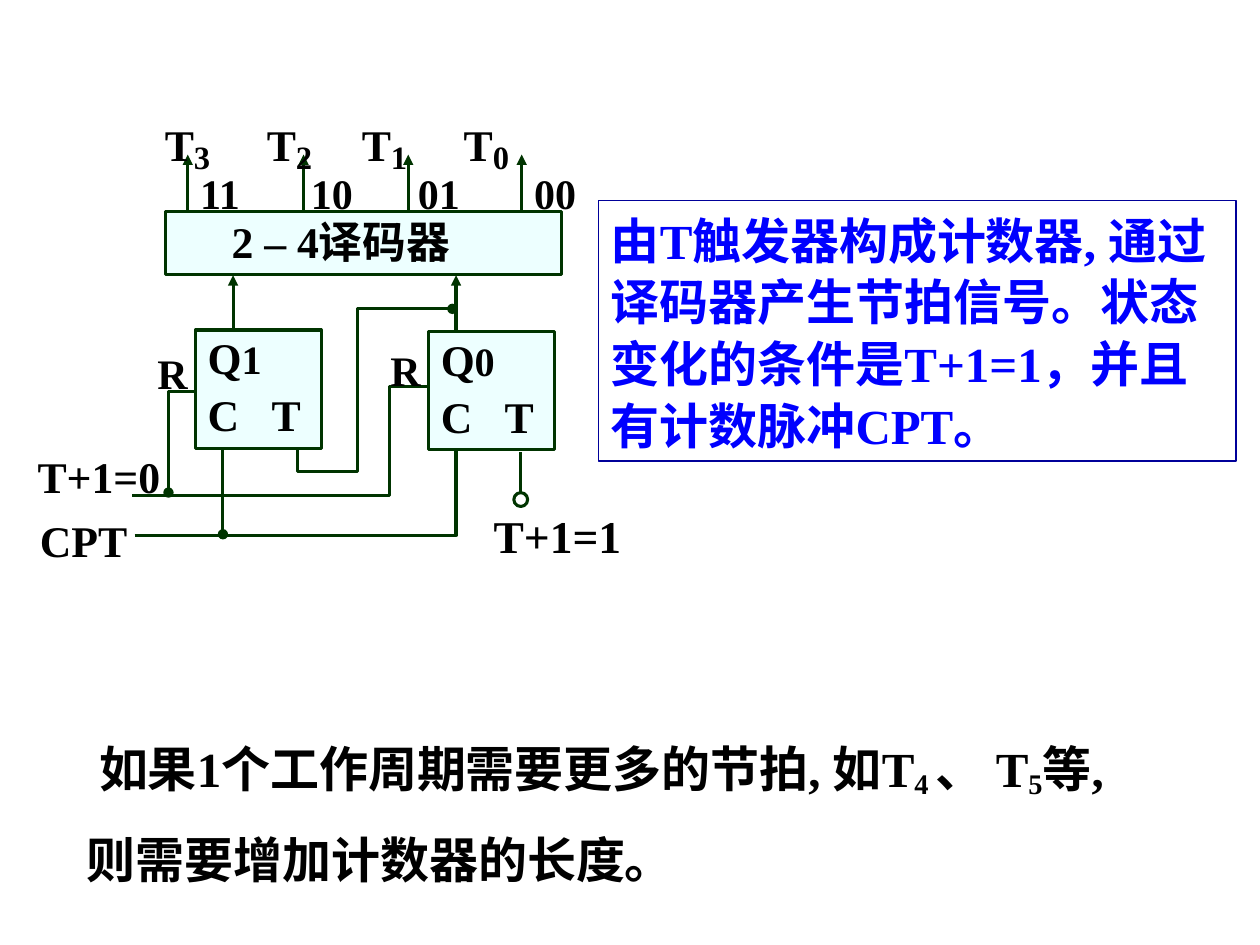
from lxml.etree import SubElement
from pptx import Presentation
from pptx.dml.color import RGBColor
from pptx.enum.shapes import MSO_CONNECTOR as Connector, MSO_SHAPE as Shape
from pptx.enum.text import MSO_ANCHOR as Anchor, PP_ALIGN as Align
from pptx.oxml.ns import qn
from pptx.util import Pt

FONT = "Times New Roman"
BLACK, BLUE, NAVY = "000000", "0000FF", "000099"
GREEN, PALE = "003400", "EDFFFF"
WIRE_WIDTH = 1.75


def color(value):
    return RGBColor.from_string(value)


def add_run(paragraph, text, size, text_color=BLACK, baseline=0):
    """Add a bold run; baseline is a shift in percent, negative for subscripts."""
    run = paragraph.add_run()
    run.text = text
    run.font.name = FONT
    run.font.size = Pt(size)
    run.font.bold = True
    run.font.color.rgb = color(text_color)
    if baseline:
        run._r.get_or_add_rPr().set("baseline", str(baseline * 1000))


def add_label(slide, left, top, width, height, runs, margin_top=5.8):
    box = slide.shapes.add_textbox(Pt(left), Pt(top), Pt(width), Pt(height))
    frame = box.text_frame
    frame.word_wrap = True
    frame.margin_top = Pt(margin_top)
    paragraph = frame.paragraphs[0]
    for run in runs:
        add_run(paragraph, *run)
    return paragraph


def add_block(slide, kind, left, top, width, height, fill=None,
              line=GREEN, line_width=WIRE_WIDTH):
    shape = slide.shapes.add_shape(kind, Pt(left), Pt(top), Pt(width), Pt(height))
    shape.shadow.inherit = False
    if fill:
        shape.fill.solid()
        shape.fill.fore_color.rgb = color(fill)
    else:
        shape.fill.background()
    shape.line.color.rgb = color(line)
    shape.line.width = Pt(line_width)
    frame = shape.text_frame
    frame.word_wrap = True
    frame.vertical_anchor = Anchor.MIDDLE
    frame.paragraphs[0].alignment = Align.LEFT
    return frame


def add_wire(slide, points, end=None):
    """Draw a wire through the points, with an optional mark at its last point."""
    points = [(Pt(x), Pt(y)) for x, y in points]
    if len(points) == 2:
        wire = slide.shapes.add_connector(Connector.STRAIGHT, *points[0], *points[1])
        SubElement(wire._element.spPr, qn("a:effectLst"))
    else:
        builder = slide.shapes.build_freeform(*points[0], scale=1.0)
        builder.add_line_segments(points[1:], close=False)
        wire = builder.convert_to_shape()
        wire.shadow.inherit = False
        wire.fill.background()
    wire.line.color.rgb = color(GREEN)
    wire.line.width = Pt(WIRE_WIDTH)
    if end:
        SubElement(wire.line._get_or_add_ln(), qn("a:tailEnd"), type=end)


def add_flip_flop(slide, left, top, index):
    frame = add_block(slide, Shape.RECTANGLE, left, top, 72, 67.7, PALE)
    output = frame.paragraphs[0]
    output.line_spacing = 0.9
    add_run(output, "Q", 25)
    add_run(output, index, 23)
    inputs = frame.add_paragraph()
    inputs.alignment = Align.LEFT
    inputs.line_spacing = 0.9
    inputs.space_before = Pt(5.5)
    tabs = SubElement(inputs._p.get_or_add_pPr(), qn("a:tabLst"))
    SubElement(tabs, qn("a:tab"), pos=str(Pt(36.5)), algn="l")
    add_run(inputs, "C\tT", 25)


def add_decoder(slide):
    frame = add_block(slide, Shape.RECTANGLE, 94.3, 121, 226.8, 36, PALE)
    frame.margin_left = Pt(38)
    frame.paragraphs[0].line_spacing = 0.95
    add_run(frame.paragraphs[0], "2 – 4译码器", 25)

    outputs = [("3", 87.1, "11", 107.3, 107.3), ("2", 145.4, "10", 170.6, 173.5),
               ("1", 199.7, "01", 231.8, 233.3), ("0", 257.9, "00", 298.1, 298.1)]
    for index, name_left, code, code_left, wire_x in outputs:
        add_wire(slide, [(wire_x, 120), (wire_x, 88.3)], "triangle")
        add_label(slide, name_left, 54.7, 50, 37.4,
                  [("T", 25), (index, 32, BLACK, -14)])
        add_label(slide, code_left, 90, 42, 36, [(code, 24)])


def add_wiring(slide):
    for x in (133.2, 260.6):
        add_wire(slide, [(x, 189), (x, 157.3)], "triangle")
    add_wire(slide, [(77, 306), (260.6, 306), (260.6, 256.3)])
    add_wire(slide, [(244, 221), (222.5, 221), (222.5, 283), (75.6, 283)])
    add_wire(slide, [(112, 224), (96.3, 224), (96.3, 281.5)], "oval")
    add_wire(slide, [(169.9, 256), (169.9, 269.3), (204.5, 269.3),
                     (204.5, 176.5), (258.5, 176.5)], "oval")
    add_wire(slide, [(127.4, 255.6), (127.4, 305.3)], "oval")
    add_wire(slide, [(297.4, 258.5), (297.4, 282)])
    add_block(slide, Shape.OVAL, 293.6, 281.5, 7.9, 7.9)


def add_note(slide):
    frame = add_block(slide, Shape.RECTANGLE, 342, 114.5, 364.3, 149,
                      line=NAVY, line_width=0.75)
    frame.paragraphs[0].line_spacing = 1.05
    add_run(frame.paragraphs[0], "由T触发器构成计数器, 通过译码器产生节拍信号。"
            "状态变化的条件是T+1=1，并且有计数脉冲CPT。", 28, BLUE)


def add_remark(slide):
    runs = [("如果1个工作周期需要更多的节拍, 如T", 28), ("4 ", 28, BLACK, -14),
            ("、 T", 28), ("5", 28, BLACK, -14),
            ("等, 则需要增加计数器的长度。", 28)]
    paragraph = add_label(slide, 42.5, 401, 627, 103, runs, margin_top=3.6)
    paragraph.line_spacing = 1.5
    paragraph._p.get_or_add_pPr().set("indent", str(Pt(7)))


def main():
    presentation = Presentation()
    presentation.slide_width, presentation.slide_height = Pt(720), Pt(540)
    slide = presentation.slides.add_slide(presentation.slide_layouts[6])
    add_note(slide)
    add_remark(slide)
    add_decoder(slide)
    add_flip_flop(slide, 111.6, 188.6, "1")
    add_flip_flop(slide, 244.8, 189.3, "0")
    add_wiring(slide)
    for text, left, top, width, size in [
        ("CPT", 15.7, 288, 80, 25), ("T+1=0", 14.4, 251.3, 88, 25),
        ("T+1=1", 275, 284.4, 92, 26), ("R", 82.8, 193, 35, 24),
        ("R", 216, 190.8, 35, 24),
    ]:
        add_label(slide, left, top, width, 37, [(text, size)])
    presentation.save("out.pptx")


if __name__ == "__main__":
    main()
